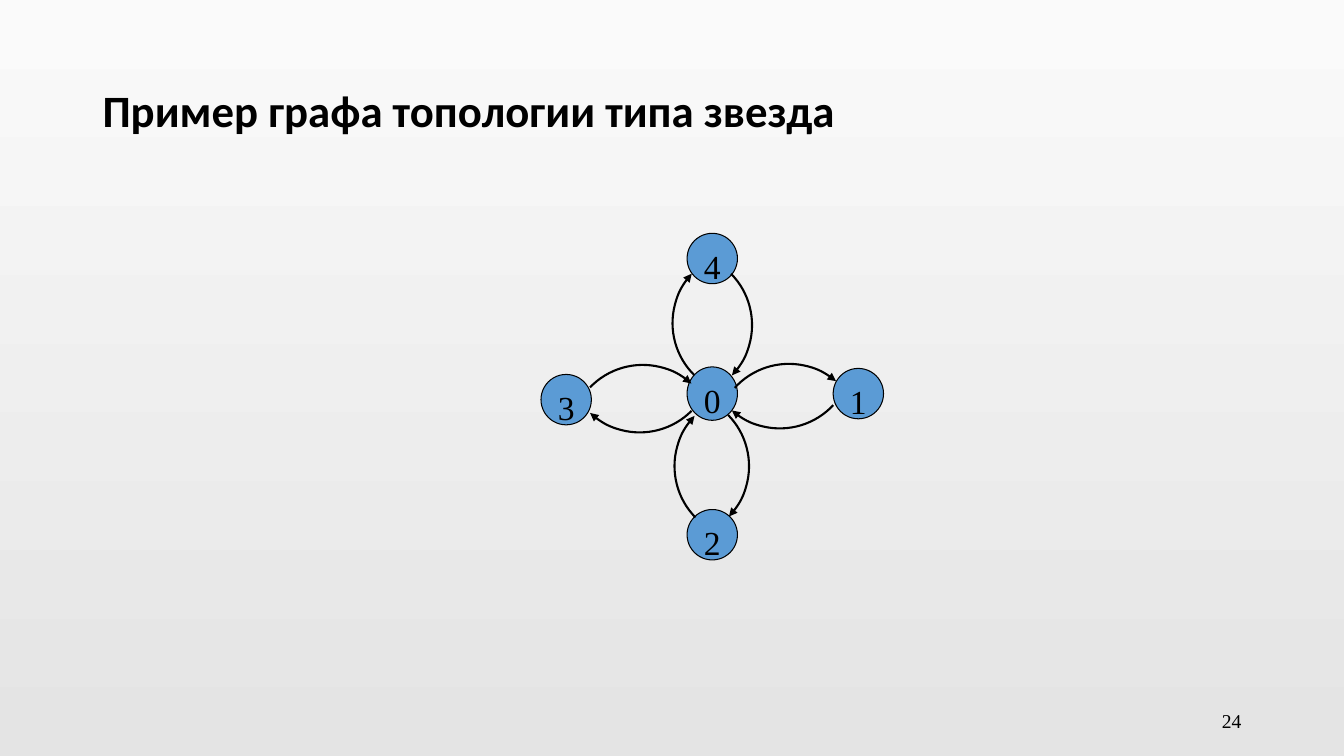
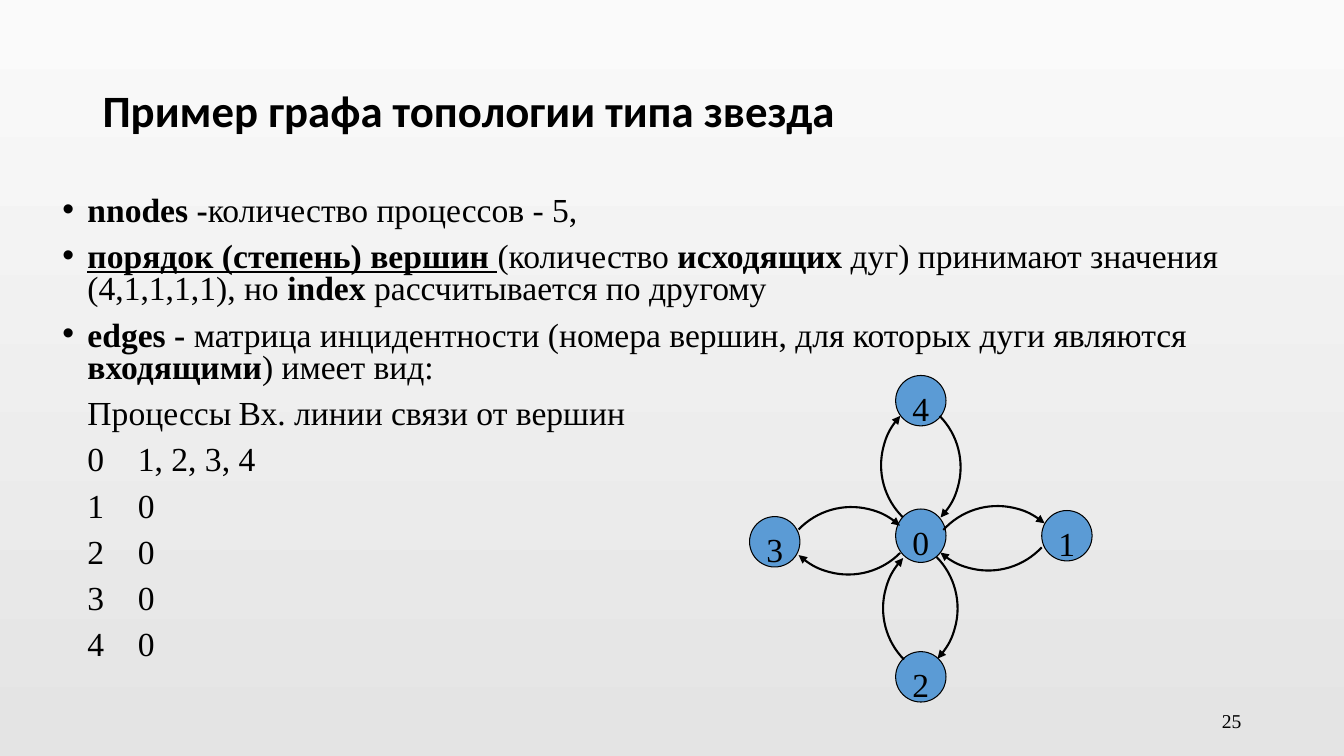
import dataclasses

import lxml.etree
import pptx
import pptx.dml.color
import pptx.enum.shapes
import pptx.enum.text
import pptx.oxml.ns
import pptx.util

RGBColor = pptx.dml.color.RGBColor
Pt = pptx.util.Pt
Inches = pptx.util.Inches
qn = pptx.oxml.ns.qn
MSO_SHAPE = pptx.enum.shapes.MSO_SHAPE
PP_ALIGN = pptx.enum.text.PP_ALIGN
MSO_ANCHOR = pptx.enum.text.MSO_ANCHOR

BLACK = RGBColor(0x00, 0x00, 0x00)
NODE_BLUE = RGBColor(0x5B, 0x9B, 0xD5)
BACKGROUND_TOP = RGBColor(0xFA, 0xFA, 0xFA)
BACKGROUND_BOTTOM = RGBColor(0xE4, 0xE4, 0xE4)
TITLE_FONT = "Calibri"
BODY_FONT = "Times New Roman"

# The slide is a grid of square cells, 133.4 columns by 75 rows.
COLUMNS, ROWS = 133.4, 75
CELL = Inches(0.1)


def cells(count):
    return round(count * CELL)


@dataclasses.dataclass
class Box:
    """A region in grid columns and rows."""
    column: float
    row: float
    columns: float
    rows: float

    def emu(self):
        return [cells(n) for n in (self.column, self.row, self.columns, self.rows)]

    def centred(self, x, y, columns, rows):
        """A part whose middle lies x, y cells from the middle of this box."""
        return Box(self.column + (self.columns - columns) / 2 + x,
                   self.row + (self.rows - rows) / 2 + y, columns, rows)


TITLE_BOX = Box(9.2, 4, 115, 14.5)
NUMBER_BOX = Box(94.2, 69.5, 30, 4)
BODY_BOX = Box(5.2, 19, 121.3, 47.6)

NODE_SIZE = 5
HUB_ROWS = 5.3
ARC_SIZE = 14.5
ARC_END = 358
# Label, then the offset of the node from the hub
NODES = [("4", 0, -13.4), ("1", 14.5, 0), ("3", -14.5, 0.6), ("2", 0, 14)]
# Offset of the arc's centre from the hub, then its rotation
ARCS = [
    (-3.3, -6.8, 45.5), (-3.6, 7.2, 45.5),
    (3.5, 7.2, 225.5), (3.3, -7, 224.5),
    (7.6, 4.3, 312.2), (-6.9, 4.4, 313.8),
    (-7.2, -3.4, 134.8), (6.7, -3.8, 133),
]

TITLE = "Пример графа топологии типа звезда"
# Each run is its text and its style: b bold, u underlined
DEFINITIONS = [
    [("nnodes -", "b"), ("количество процессов - 5,", "")],
    [("порядок (степень) вершин ", "bu"), ("(количество ", ""), ("исходящих", "b"),
     (" дуг) принимают значения (4,1,1,1,1), но ", ""), ("index ", "b"),
     ("рассчитывается по другому", "")],
    [("edges - ", "b"),
     ("матрица инцидентности (номера вершин, для которых дуги являются ", ""),
     ("входящими", "b"), (") имеет вид:", "")],
]
INCOMING_LINKS = [
    ("Процессы", "Вх. линии связи от вершин"),
    ("0", "1, 2, 3, 4"), ("1", "0"), ("2", "0"), ("3", "0"), ("4", "0"),
]


def add_run(paragraph, text, size, font=BODY_FONT, style=""):
    run = paragraph.add_run()
    run.text = text
    run.font.name = font
    run.font.size = Pt(size)
    run.font.bold = "b" in style
    run.font.underline = "u" in style
    run.font.color.rgb = BLACK


def add_text_frame(slide, box, anchor):
    frame = slide.shapes.add_textbox(*box.emu()).text_frame
    frame.word_wrap = True
    frame.vertical_anchor = anchor
    return frame


def add_title(slide, box):
    heading = add_text_frame(slide, box, MSO_ANCHOR.MIDDLE).paragraphs[0]
    heading.line_spacing = 0.9
    add_run(heading, TITLE, 32, TITLE_FONT, "b")


def add_slide_number(slide, box, number):
    label = add_text_frame(slide, box, MSO_ANCHOR.MIDDLE).paragraphs[0]
    label.alignment = PP_ALIGN.RIGHT
    add_run(label, str(number), 14)


def indent(paragraph, left, first):
    properties = paragraph._p.get_or_add_pPr()
    properties.set("marL", str(cells(left)))
    properties.set("indent", str(cells(first)))
    return properties


def add_body(slide, box):
    frame = add_text_frame(slide, box, MSO_ANCHOR.TOP)

    def next_paragraph():
        if not frame.paragraphs[0].runs:
            paragraph = frame.paragraphs[0]
        else:
            paragraph = frame.add_paragraph()
            paragraph.space_before = Pt(10)
        paragraph.line_spacing = 0.8
        return paragraph

    for definition in DEFINITIONS:
        paragraph = next_paragraph()
        properties = indent(paragraph, 2.5, -2.5)
        lxml.etree.SubElement(properties, qn("a:buFont"), typeface="Arial")
        lxml.etree.SubElement(properties, qn("a:buChar"), char="•")
        for text, style in definition:
            add_run(paragraph, text, 24, style=style)

    for process, sources in INCOMING_LINKS:
        paragraph = next_paragraph()
        properties = indent(paragraph, 2.5, 0)
        lxml.etree.SubElement(properties, qn("a:buNone"))
        tabs = lxml.etree.SubElement(properties, qn("a:tabLst"))
        lxml.etree.SubElement(tabs, qn("a:tab"), pos=str(cells(30)), algn="l")
        add_run(paragraph, f"{process}\t{sources}", 24)


def add_node(shapes, box, label):
    node = shapes.add_shape(MSO_SHAPE.FLOWCHART_CONNECTOR, *box.emu())
    node.shadow.inherit = False
    node.fill.solid()
    node.fill.fore_color.rgb = NODE_BLUE
    node.line.color.rgb = BLACK
    node.line.width = Pt(0.75)
    frame = node.text_frame
    frame.word_wrap = False
    frame.vertical_anchor = MSO_ANCHOR.TOP
    frame.paragraphs[0].alignment = PP_ALIGN.CENTER
    add_run(frame.paragraphs[0], label, 24)


def add_arc(shapes, box, rotation):
    """A quarter circle with an arrowhead at its clockwise end."""
    arc = shapes.add_shape(MSO_SHAPE.ARC, *box.emu())
    arc.adjustments[1] = ARC_END * 0.6  # 60000 units a degree, scaled by 100000
    arc.rotation = rotation
    arc.shadow.inherit = False
    arc.fill.background()
    arc.line.color.rgb = BLACK
    arc.line.width = Pt(1.5)
    lxml.etree.SubElement(arc.line._get_or_add_ln(), qn("a:tailEnd"), type="triangle")


def add_star_graph(slide, box):
    shapes = slide.shapes.add_group_shape().shapes
    for label, x, y in NODES:
        add_node(shapes, box.centred(x, y, NODE_SIZE, NODE_SIZE), label)
    add_node(shapes, box.centred(0, 0, NODE_SIZE, HUB_ROWS), "0")
    for x, y, rotation in ARCS:
        add_arc(shapes, box.centred(x, y, ARC_SIZE, ARC_SIZE), rotation)


def add_background(master):
    fill = master.background.fill
    fill.gradient()
    fill.gradient_angle = 270
    for stop, colour in zip(fill.gradient_stops, (BACKGROUND_TOP, BACKGROUND_BOTTOM)):
        stop.color.rgb = colour


def add_slide(deck, number):
    slide = deck.slides.add_slide(deck.slide_layouts[6])
    add_title(slide, TITLE_BOX)
    add_slide_number(slide, NUMBER_BOX, number)
    return slide


def main():
    deck = pptx.Presentation()
    deck.slide_width, deck.slide_height = cells(COLUMNS), cells(ROWS)
    add_background(deck.slide_master)

    add_star_graph(add_slide(deck, 24), Box(53.7, 22.05, 34, 34))

    matrix_slide = add_slide(deck, 25)
    add_body(matrix_slide, BODY_BOX)
    add_star_graph(matrix_slide, Box(74.4, 36.15, 34, 34))

    deck.save("out.pptx")


if __name__ == "__main__":
    main()
